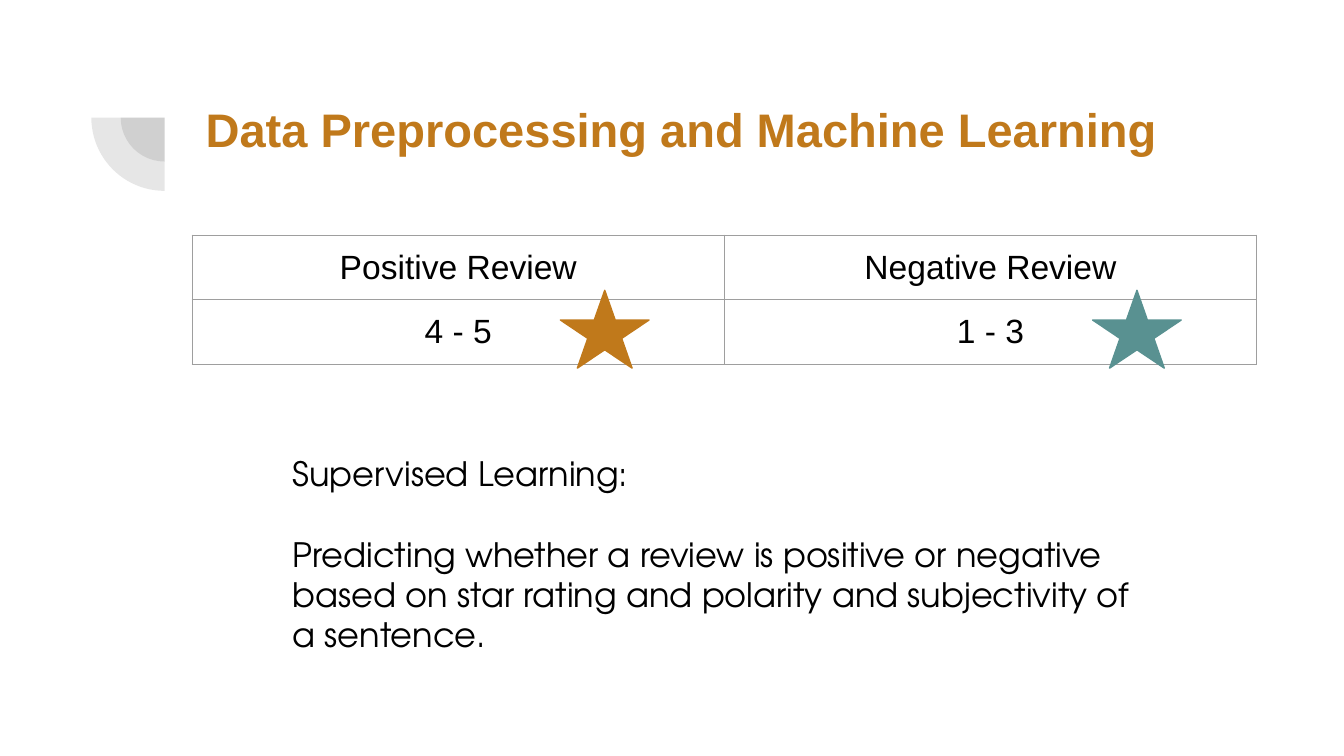
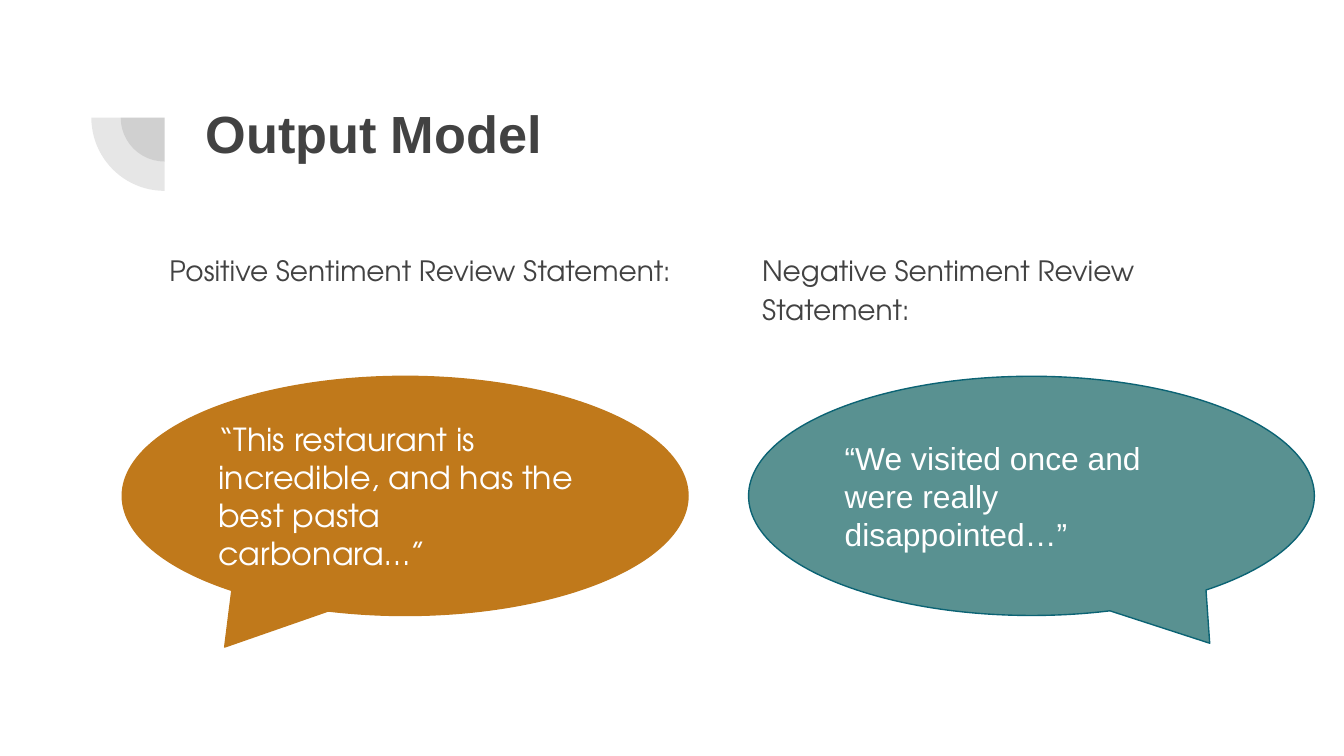
from dataclasses import dataclass

from lxml.etree import Element, SubElement
from pptx import Presentation
from pptx.dml.color import RGBColor
from pptx.enum.shapes import MSO_SHAPE
from pptx.enum.text import MSO_ANCHOR, MSO_AUTO_SIZE, PP_ALIGN
from pptx.oxml.ns import qn
from pptx.util import Inches, Pt

COLORS = {
    "background": "FFFFFF",
    "dark": "424242",
    "black": "000000",
    "white": "FFFFFF",
    "positive": "C0791B",
    "negative": "599191",
    "negative_edge": "0B6374",
    "border": "9E9E9E",
}
SANS = "Arial"
ROUNDED = "TeX Gyre Adventor"

# The slide is a grid of 100 columns; rows are as tall as columns are wide
UNIT = Inches(0.1)
SLIDE_COLUMNS, SLIDE_ROWS = 100, 56.25


@dataclass
class Box:
    """An area in grid columns and rows."""
    left: float
    top: float
    width: float
    height: float

    def centered(self, share):
        """An area with the same centre and a share of the size."""
        margin = (1 - share) / 2
        return Box(self.left + margin * self.width, self.top + margin * self.height,
                   share * self.width, share * self.height)

    def emu(self):
        return [int(n * UNIT) for n in (self.left, self.top, self.width, self.height)]


TITLE_BOX = Box(14.3, 6.5, 76.9, 10.9)
ORNAMENT_BOX = Box(6.8, 3.3, 10.9, 10.9)


def rgb(name):
    return RGBColor.from_string(COLORS[name])


def place(shape, box):
    shape.left, shape.top, shape.width, shape.height = box.emu()


def write(frame, paragraphs, size, font, color, bold=False, align=PP_ALIGN.LEFT,
          anchor=MSO_ANCHOR.TOP, line_spacing=1.0, space_after=0):
    frame.word_wrap = True
    frame.auto_size = MSO_AUTO_SIZE.NONE
    frame.vertical_anchor = anchor
    frame.margin_left = frame.margin_right = UNIT
    frame.margin_top = frame.margin_bottom = UNIT
    frame.text = "\n".join(paragraphs)
    for paragraph in frame.paragraphs:
        paragraph.alignment = align
        paragraph.line_spacing = line_spacing
        paragraph.space_before = Pt(0)
        paragraph.space_after = Pt(space_after)
        paragraph.font.size = Pt(size)
        paragraph.font.name = font
        paragraph.font.bold = bold
        paragraph.font.color.rgb = rgb(color)


def add_shape(slide, kind, box, fill, adjustments, line=None):
    shape = slide.shapes.add_shape(kind, *box.emu())
    shape.shadow.inherit = False
    shape.fill.solid()
    shape.fill.fore_color.rgb = rgb(fill)
    for index, value in enumerate(adjustments):
        shape.adjustments[index] = value
    if line:
        shape.line.color.rgb = rgb(line)
        shape.line.width = Pt(0.75)
    else:
        shape.line.fill.background()
    return shape


def add_ornament(slide, box):
    """Two translucent quarter circles around one centre."""
    for share in (0.6, 1):
        pie = add_shape(slide, MSO_SHAPE.PIE, box.centered(share), "dark", (108, 162))
        pie.rotation = 270
        color = pie._element.spPr.find(qn("a:solidFill"))[0]
        SubElement(color, qn("a:alpha"), val="13000")


def add_titled_slide(presentation, layout, title, size, color):
    slide = presentation.slides.add_slide(presentation.slide_layouts.get_by_name(layout))
    slide.background.fill.solid()
    slide.background.fill.fore_color.rgb = rgb("background")
    add_ornament(slide, ORNAMENT_BOX)
    place(slide.shapes.title, TITLE_BOX)
    write(slide.shapes.title.text_frame, [title], size, SANS, color, bold=True)
    return slide


def set_borders(cell):
    properties = cell._tc.get_or_add_tcPr()
    for side in ("lnL", "lnR", "lnT", "lnB"):
        line = SubElement(properties, qn(f"a:{side}"), w=str(Pt(0.75)))
        fill = SubElement(line, qn("a:solidFill"))
        SubElement(fill, qn("a:srgbClr"), val=COLORS["border"])


def add_rating_table(slide, box, rows):
    table = slide.shapes.add_table(len(rows), len(rows[0]), *box.emu()).table
    table.first_row = table.horz_banding = False
    for row_index, texts in enumerate(rows):
        for column_index, text in enumerate(texts):
            cell = table.cell(row_index, column_index)
            set_borders(cell)
            cell.fill.background()
            cell.margin_left = cell.margin_right = UNIT
            cell.margin_top = cell.margin_bottom = UNIT
            cell.text = text
            paragraph = cell.text_frame.paragraphs[0]
            paragraph.alignment = PP_ALIGN.CENTER
            paragraph.font.size = Pt(18)
            paragraph.font.name = SANS
            paragraph.font.color.rgb = rgb("black")

    # One star per column, beside the rating
    for column, color in enumerate(("positive", "negative")):
        star_box = Box(box.left + column * box.width / 2 + 27.4, box.top + 4.1, 6.6, 5.8)
        add_shape(slide, MSO_SHAPE.STAR_5_POINT, star_box, color, (0.191,), line=color)


def add_explanation(slide, box):
    text_box = slide.shapes.add_textbox(*box.emu())
    write(text_box.text_frame, [
        "Supervised Learning:",
        "Predicting whether a review is positive or negative based on star rating "
        "and polarity and subjectivity of a sentence.",
    ], 18, ROUNDED, "black")
    text_box.text_frame.paragraphs[0].space_after = Pt(21.6)


def add_statement(placeholder, box, text):
    place(placeholder, box)
    write(placeholder.text_frame, [text], 15, ROUNDED, "dark",
          line_spacing=1.15, space_after=12)
    # No bullet and no hanging indent
    properties = placeholder.text_frame.paragraphs[0]._p.get_or_add_pPr()
    properties.set("marL", "0")
    properties.set("indent", "0")
    properties.find(qn("a:defRPr")).addprevious(Element(qn("a:buNone")))


def add_quote(slide, box, text, font, fill, line, tail):
    callout = add_shape(slide, MSO_SHAPE.OVAL_CALLOUT, box, fill, tail, line)
    write(callout.text_frame, [text], 17, font, "white", anchor=MSO_ANCHOR.MIDDLE)


def build_preprocessing_slide(presentation):
    slide = add_titled_slide(presentation, "Title Only",
                             "Data Preprocessing and Machine Learning", 25.2, "positive")
    add_rating_table(slide, Box(14.3, 17.5, 79.2, 9.6),
                     [("Positive Review", "Negative Review"), ("4 - 5", "1 - 3")])
    add_explanation(slide, Box(20.8, 32.7, 66, 14.1))


def build_output_slide(presentation):
    slide = add_titled_slide(presentation, "Two Content", "Output Model", 28, "dark")
    positive, negative = list(slide.placeholders)[1:]
    add_statement(positive, Box(11.6, 17.5, 42.1, 27.8),
                  "Positive Sentiment Review Statement:")
    add_statement(negative, Box(55.7, 17.5, 40.6, 27.8),
                  "Negative Sentiment Review Statement:")
    add_quote(slide, Box(55.7, 28, 42.1, 17.8),
              "“We visited once and were really disappointed…”",
              SANS, "negative", "negative_edge", (0.315, 0.616))
    add_quote(slide, Box(9.1, 28, 42.1, 17.8),
              "“This restaurant is incredible, and has the best pasta carbonara…”",
              ROUNDED, "positive", "positive", (-0.319, 0.632))


def main():
    presentation = Presentation()
    presentation.slide_width = int(SLIDE_COLUMNS * UNIT)
    presentation.slide_height = int(SLIDE_ROWS * UNIT)
    build_preprocessing_slide(presentation)
    build_output_slide(presentation)
    presentation.save("out.pptx")


if __name__ == "__main__":
    main()
